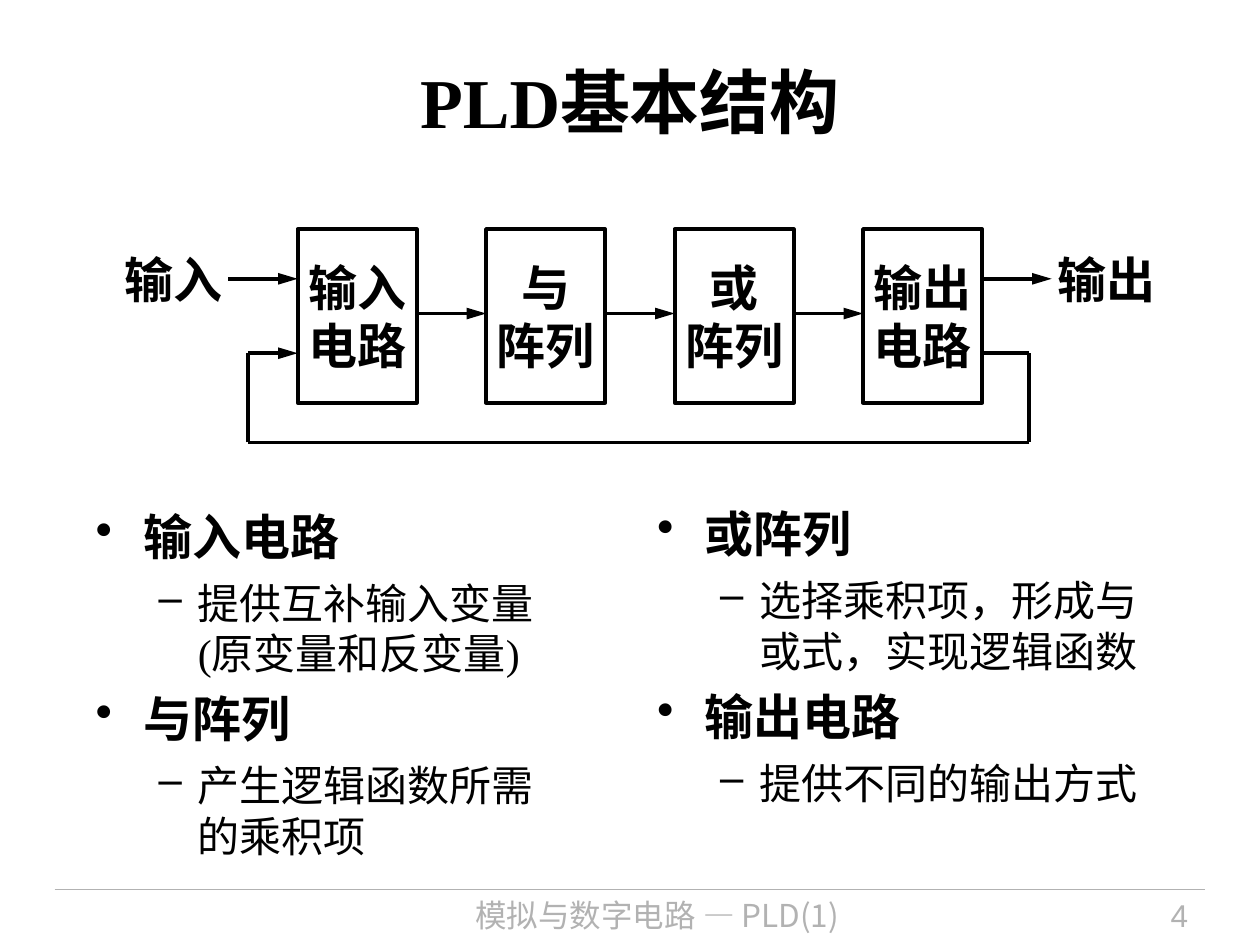
from itertools import pairwise

from lxml import etree
from pptx import Presentation
from pptx.dml.color import RGBColor
from pptx.enum.shapes import MSO_CONNECTOR, MSO_SHAPE
from pptx.enum.text import MSO_ANCHOR, PP_ALIGN
from pptx.oxml.ns import qn
from pptx.util import Cm, Pt

STRAIGHT = MSO_CONNECTOR.STRAIGHT
RECTANGLE = MSO_SHAPE.RECTANGLE
MIDDLE, TOP = MSO_ANCHOR.MIDDLE, MSO_ANCHOR.TOP
LEFT, CENTER, RIGHT = PP_ALIGN.LEFT, PP_ALIGN.CENTER, PP_ALIGN.RIGHT

BLACK, WHITE, GREY = "000000", "FFFFFF", "B2B2B2"
SERIF, SANS, CJK = "Times New Roman", "Arial", "Noto Sans CJK SC"

TITLE_FONT = {"name": SERIF, "size": Pt(40), "bold": True}
BLOCK_FONT = {"name": SANS, "size": Pt(28), "bold": True}
FOOTER_FONT = {"name": CJK, "size": Pt(18), "bold": False}
NUMBER_FONT = {"name": SANS, "size": Pt(18), "bold": False}
TIGHT = {"margin_left": 0, "margin_right": 0, "margin_top": 0,
         "margin_bottom": 0, "word_wrap": False, "vertical_anchor": MIDDLE}
WRAPPED = {"word_wrap": True, "vertical_anchor": TOP}

OUTLINE_LEVELS = [
    {"bullet": "•", "margin": 0.96, "hanging": 0.96, "after": 7,
     "font": {"name": SERIF, "size": Pt(28), "bold": True}},
    {"bullet": "–", "margin": 2.06, "hanging": 0.79, "after": 6,
     "font": {"name": SERIF, "size": Pt(24), "bold": False}},
]


def rgb(value):
    """Turn a hex string into a colour."""
    return RGBColor.from_string(value)


def apply(target, values):
    """Set every attribute in a dict of format values."""
    for key, value in values.items():
        setattr(target, key, value)


def write_lines(frame, lines, font, align, colour=BLACK):
    """Write each line as a paragraph in one format."""
    for index, line in enumerate(lines):
        paragraph = frame.add_paragraph() if index else frame.paragraphs[0]
        paragraph.alignment = align
        run = paragraph.add_run()
        run.text = line
        apply(run.font, font)
        run.font.color.rgb = rgb(colour)


def add_label(slide, box, text, font, align, layout, colour=BLACK):
    """Place a one-line text box."""
    frame = slide.shapes.add_textbox(*map(Cm, box)).text_frame
    apply(frame, layout)
    write_lines(frame, [text], font, align, colour)


def add_line(slide, start, end, arrow=False, colour=BLACK, width=2.25):
    """Draw a straight line, with an arrowhead at its end if asked."""
    line = slide.shapes.add_connector(STRAIGHT, *map(Cm, (*start, *end)))
    line.line.color.rgb = rgb(colour)
    line.line.width = Pt(width)
    if arrow:
        etree.SubElement(line.line._get_or_add_ln(), qn("a:tailEnd"),
                         type="triangle", w="med", len="lg")
    etree.SubElement(line._element.spPr, qn("a:effectLst"))


def add_title(slide, box, text):
    """Place and format the title placeholder."""
    title = slide.shapes.title
    apply(title, dict(zip(("left", "top", "width", "height"), map(Cm, box))))
    title.text_frame.vertical_anchor = MIDDLE
    write_lines(title.text_frame, [text], TITLE_FONT, CENTER)


def add_block(slide, box, lines):
    """Draw one stage of the block diagram."""
    block = slide.shapes.add_shape(RECTANGLE, *map(Cm, box))
    block.shadow.inherit = False
    block.fill.solid()
    block.fill.fore_color.rgb = rgb(WHITE)
    block.line.color.rgb = rgb(BLACK)
    block.line.width = Pt(2.25)
    apply(block.text_frame, TIGHT)
    write_lines(block.text_frame, lines, BLOCK_FONT, CENTER)


def add_diagram(slide, box, stages):
    """Draw the stages, the signal arrows and the feedback loop."""
    left, top, width, height = box
    label_width, label_height = 1.98, 1.2
    block_width, block_height, gap = 2.4, 3.5, 1.4
    row_width = len(stages) * (block_width + gap) - gap
    first = left + (width - row_width) / 2
    last = first + row_width
    signal, middle, feedback = top + 1, top + 1.7, top + 2.5
    bottom = top + height

    for index, lines in enumerate(stages):
        x = first + index * (block_width + gap)
        add_block(slide, (x, top, block_width, block_height), lines)
        if index:
            add_line(slide, (x - gap, middle), (x, middle), arrow=True)

    for text, x, start in (("输入", left, first - gap),
                           ("输出", left + width - label_width, last)):
        add_label(slide, (x, signal - label_height / 2, label_width, label_height),
                  text, BLOCK_FONT, CENTER, TIGHT)
        add_line(slide, (start, signal), (start + gap, signal), arrow=True)

    loop_left, loop_right = first - 1, last + 0.95
    corners = [(last, feedback), (loop_right, feedback), (loop_right, bottom),
               (loop_left, bottom), (loop_left, feedback), (first, feedback)]
    for start, end in pairwise(corners):
        add_line(slide, start, end, arrow=end == corners[-1])


def add_outline(slide, box, entries):
    """Write a two-level bulleted list of (level, text) entries."""
    frame = slide.shapes.add_textbox(*map(Cm, box)).text_frame
    apply(frame, WRAPPED)
    for index, (depth, text) in enumerate(entries):
        level = OUTLINE_LEVELS[depth]
        paragraph = frame.add_paragraph() if index else frame.paragraphs[0]
        apply(paragraph, {"level": depth, "alignment": LEFT,
                          "space_after": Pt(level["after"])})
        run = paragraph.add_run()
        run.text = text
        apply(run.font, level["font"])
        run.font.color.rgb = rgb(BLACK)
        properties = paragraph._p.get_or_add_pPr()
        properties.set("marL", str(Cm(level["margin"])))
        properties.set("indent", str(-Cm(level["hanging"])))
        etree.SubElement(properties, qn("a:buChar"), char=level["bullet"])


def add_footer(slide, box, text, number):
    """Draw the rule, the course name and the page number."""
    left, top, width, height = box
    add_line(slide, (left, top), (left + width, top), colour=GREY, width=0.75)
    add_label(slide, (left + 5, top, 14.3, height), text,
              FOOTER_FONT, CENTER, WRAPPED, GREY)
    add_label(slide, (left + width - 3.48, top, 3.38, height), number,
              NUMBER_FONT, RIGHT, WRAPPED, GREY)


def main():
    """Build the slide and save it."""
    deck = Presentation()
    deck.slide_width, deck.slide_height = Cm(25.4), Cm(19.05)
    slide = deck.slides.add_slide(deck.slide_layouts[5])
    add_footer(slide, (1.1, 17.93, 23.2, 1.12), "模拟与数字电路 — PLD(1)", "4")
    add_title(slide, (1.27, 0.43, 22.86, 3.18), "PLD基本结构")
    add_outline(slide, (1.68, 10.08, 9.63, 7.54), [
        (0, "输入电路"), (1, "提供互补输入变量(原变量和反变量)"),
        (0, "与阵列"), (1, "产生逻辑函数所需的乘积项")])
    add_outline(slide, (13, 10.03, 10.59, 7.52), [
        (0, "或阵列"), (1, "选择乘积项，形成与或式，实现逻辑函数"),
        (0, "输出电路"), (1, "提供不同的输出方式")])
    add_diagram(slide, (2.51, 4.62, 20.78, 4.3), [
        ("输入", "电路"), ("与", "阵列"), ("或", "阵列"), ("输出", "电路")])
    deck.save("out.pptx")


if __name__ == "__main__":
    main()
